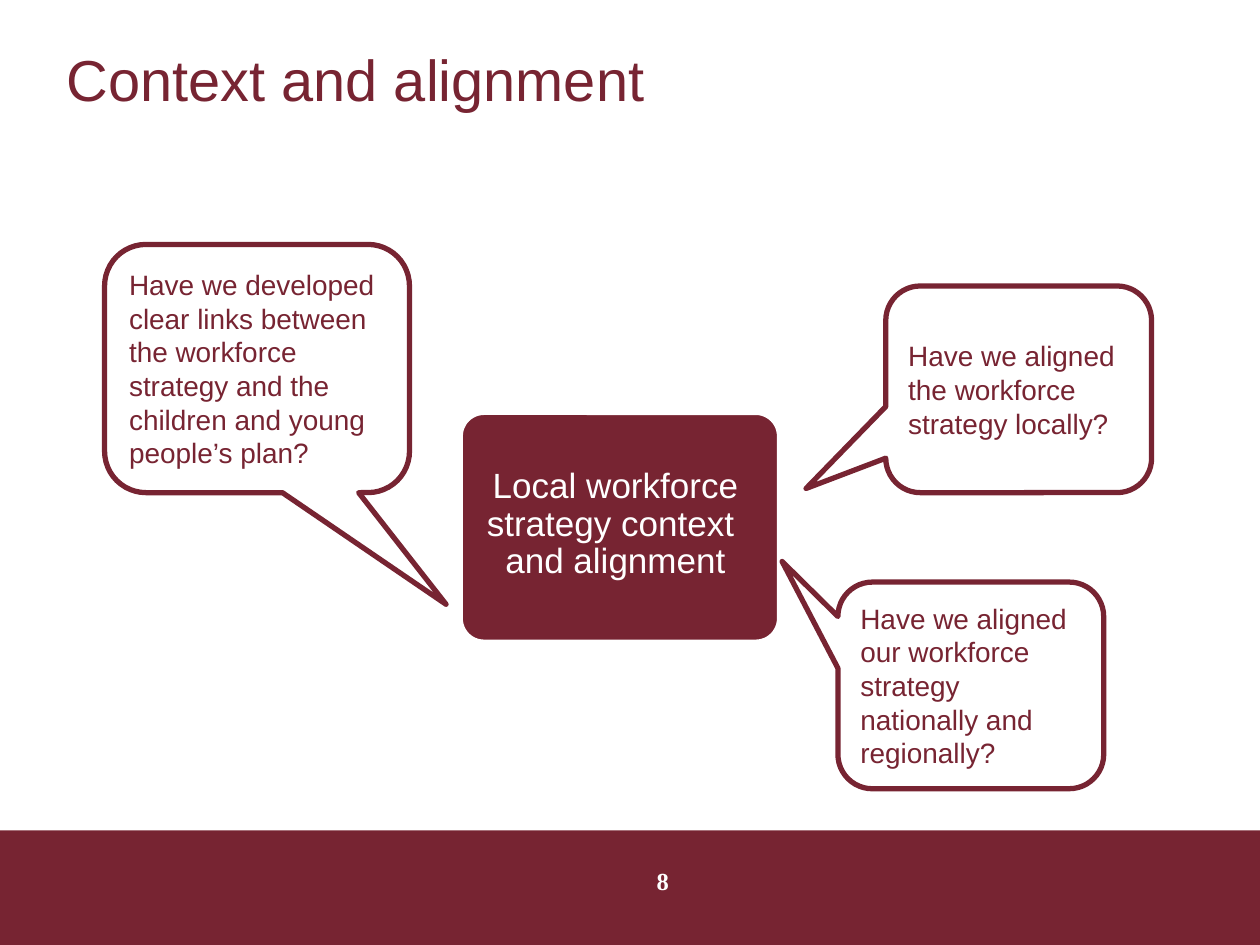
from dataclasses import dataclass

from pptx import Presentation
from pptx.dml.color import RGBColor
from pptx.enum.shapes import MSO_SHAPE
from pptx.enum.text import MSO_ANCHOR, PP_ALIGN
from pptx.util import Inches, Pt


@dataclass(frozen=True)
class Theme:
    maroon: RGBColor = RGBColor(0x77, 0x24, 0x32)
    white: RGBColor = RGBColor(0xFF, 0xFF, 0xFF)
    font: str = "Arial"
    number_font: str = "Times New Roman"
    title_size: int = 33
    center_size: int = 20
    callout_size: int = 16
    number_size: int = 14


@dataclass(frozen=True)
class Box:
    left: float
    top: float
    width: float
    height: float

    def lengths(self) -> tuple:
        return tuple(map(Inches, (self.left, self.top, self.width, self.height)))


@dataclass(frozen=True)
class Callout:
    box: Box
    tip: tuple[float, float]  # offset from the centre, as a share of the size
    question: str


THEME = Theme()

CALLOUTS = [
    Callout(Box(0.83, 1.94, 2.42, 1.97), (0.62, 0.95),
            "Have we developed clear links between the workforce strategy "
            "and the children and young people’s plan?"),
    Callout(Box(7.03, 2.27, 2.11, 1.64), (-0.8, 0.48),
            "Have we aligned the workforce strategy locally?"),
    Callout(Box(6.65, 4.62, 2.11, 1.64), (-0.71, -0.6),
            "Have we aligned our workforce strategy nationally and regionally?"),
]


def write(shape, text: str, size: int, color: RGBColor, font: str = THEME.font,
          align: PP_ALIGN = PP_ALIGN.LEFT, anchor: MSO_ANCHOR = MSO_ANCHOR.MIDDLE):
    frame = shape.text_frame
    frame.word_wrap = True
    frame.vertical_anchor = anchor
    paragraph = frame.paragraphs[0]
    paragraph.text = text
    paragraph.alignment = align
    paragraph.font.name = font
    paragraph.font.size = Pt(size)
    paragraph.font.color.rgb = color
    return paragraph


def add_filled(slide, preset: MSO_SHAPE, box: Box):
    shape = slide.shapes.add_shape(preset, *box.lengths())
    shape.shadow.inherit = False
    shape.fill.solid()
    shape.fill.fore_color.rgb = THEME.maroon
    shape.line.fill.background()
    return shape


def add_callout(slide, callout: Callout) -> None:
    shape = slide.shapes.add_shape(
        MSO_SHAPE.ROUNDED_RECTANGULAR_CALLOUT, *callout.box.lengths())
    shape.shadow.inherit = False
    shape.adjustments[0], shape.adjustments[1] = callout.tip
    shape.fill.background()
    shape.line.color.rgb = THEME.maroon
    shape.line.width = Pt(3)
    write(shape, callout.question, THEME.callout_size, THEME.maroon)


def add_center(slide) -> None:
    card = add_filled(slide, MSO_SHAPE.ROUNDED_RECTANGLE, Box(3.66, 3.28, 2.52, 1.81))
    card.adjustments[0] = 0.1
    card.line.color.rgb = THEME.white
    card.line.width = Pt(2)

    label = slide.shapes.add_textbox(*Box(3.68, 3.33, 2.41, 1.67).lengths())
    frame = label.text_frame
    frame.margin_left = frame.margin_right = Inches(0.07)
    frame.margin_top = frame.margin_bottom = Inches(0.07)
    paragraph = write(label, "Local workforce strategy context \vand alignment",
                      THEME.center_size, THEME.white, align=PP_ALIGN.CENTER)
    paragraph.line_spacing = 0.9
    paragraph.space_after = Pt(8.8)


def main() -> None:
    presentation = Presentation()
    presentation.slide_width, presentation.slide_height = Inches(10), Inches(7.5)
    slide = presentation.slides.add_slide(presentation.slide_layouts[5])

    # Footer band
    add_filled(slide, MSO_SHAPE.RECTANGLE, Box(0, 6.59, 10, 0.91))

    # Title
    title = slide.shapes.title
    title.left, title.top, title.width, title.height = Box(0.43, 0, 7.97, 1.25).lengths()
    write(title, "Context and alignment", THEME.title_size, THEME.maroon)

    # Central topic and the questions around it
    add_center(slide)
    for callout in CALLOUTS:
        add_callout(slide, callout)

    # Page number
    number = slide.shapes.add_textbox(*Box(4.84, 6.82, 0.84, 0.52).lengths())
    paragraph = write(number, "8", THEME.number_size, THEME.white, THEME.number_font,
                      PP_ALIGN.CENTER, MSO_ANCHOR.TOP)
    paragraph.font.bold = True

    presentation.save("out.pptx")


if __name__ == "__main__":
    main()
